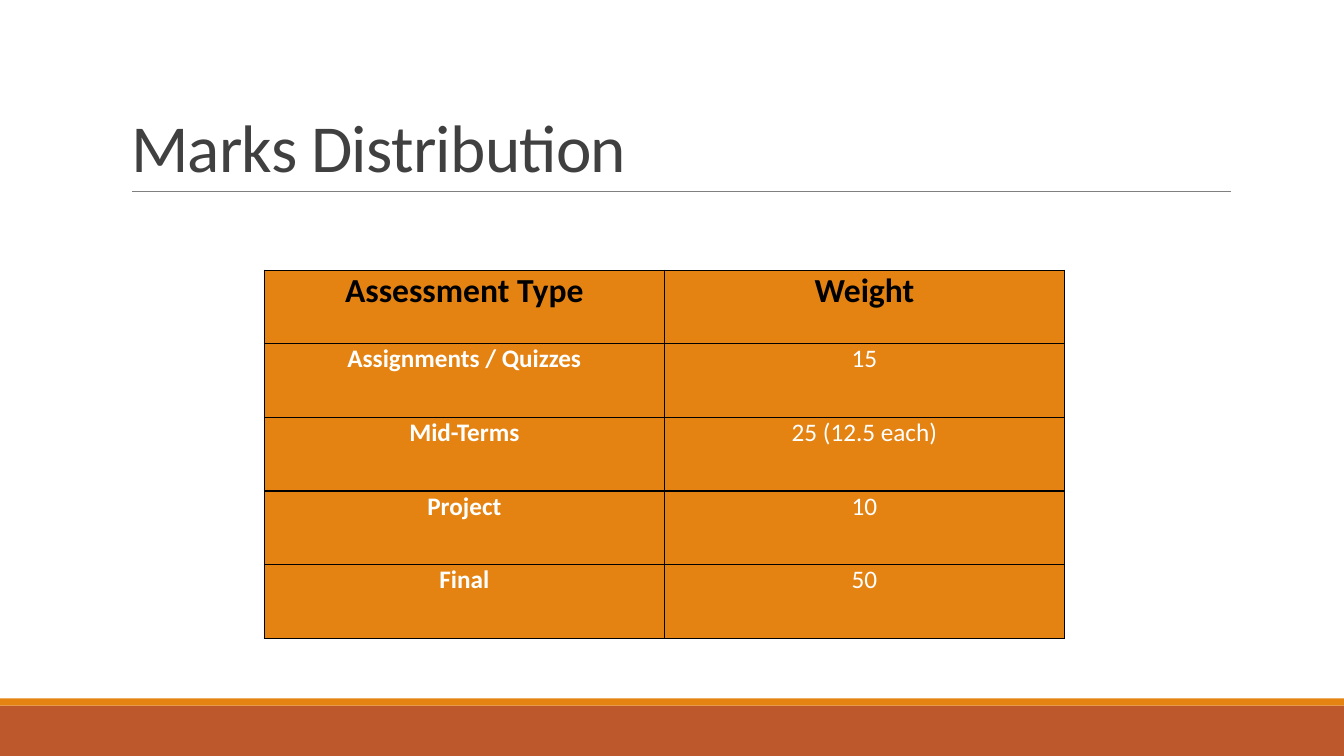
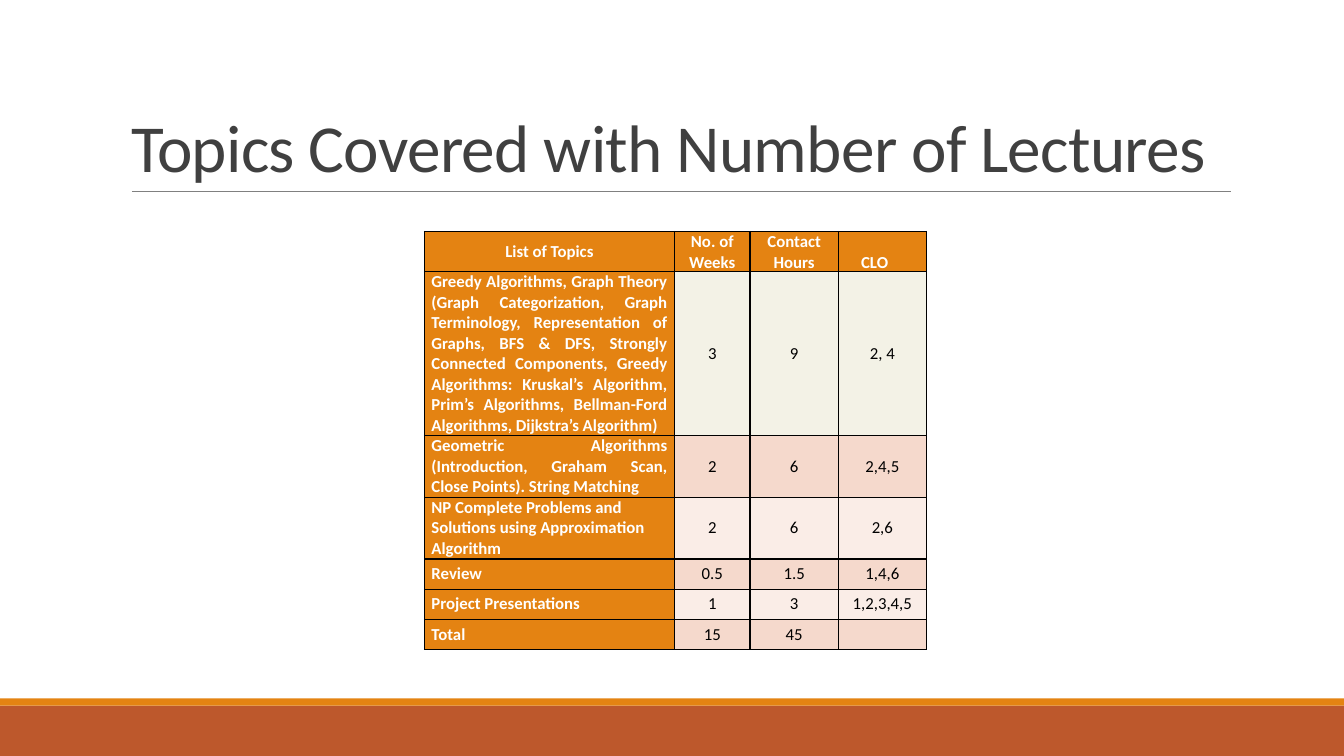
from lxml import etree
from pptx import Presentation
from pptx.dml.color import RGBColor
from pptx.enum.shapes import MSO_CONNECTOR, MSO_SHAPE
from pptx.enum.text import MSO_ANCHOR, MSO_AUTO_SIZE, PP_ALIGN
from pptx.oxml import parse_xml
from pptx.oxml.ns import nsdecls, qn
from pptx.util import Pt

FONT = "Calibri"
ORANGE, RUST, GRAY, DARK = "E48312", "BD582C", "808080", "404040"
WHITE, BLACK = "FFFFFF", "000000"
CREAM, PEACH, BLUSH = "F3F2E6", "F5D9CC", "FAEDE7"
SLIDE_WIDTH, SLIDE_HEIGHT = 960, 540

TITLE_FRAME = {"left": 86.4, "top": 22.5, "width": 792, "height": 114.3}
BANDS = [(504, 36, RUST), (498.8, 5.2, ORANGE)]
RULE_LEFT, RULE_RIGHT, RULE_TOP = 94.3, 879.1, 136.9


def color(hex_text):
    return RGBColor.from_string(hex_text)


def add_grid(page, left, top, widths, heights, rows):
    """Add a bordered table; each row is a list of (text, style) pairs."""
    frame = page.shapes.add_table(len(heights), len(widths), Pt(left), Pt(top),
                                  Pt(sum(widths)), Pt(sum(heights)))
    table = frame.table
    table.first_row = table.horz_banding = False
    for column, width in zip(table.columns, widths):
        column.width = Pt(width)
    for table_row, height, row in zip(table.rows, heights, rows):
        table_row.height = Pt(height)
        for cell, (text, style) in zip(table_row.cells, row):
            cell_format = {"margin_left": Pt(5), "margin_right": Pt(5),
                           "margin_top": 0, "margin_bottom": 0, **style["cell"]}
            for name, value in cell_format.items():
                setattr(cell, name, value)
            para = cell.text_frame.paragraphs[0]
            for name, value in style["para"].items():
                setattr(para, name, value)
            span = para.add_run()
            span.text = text
            for name, value in {"name": FONT, **style["font"]}.items():
                setattr(span.font, name, value)
            span.font.color.rgb = color(style["ink"])

            # Borders come before the fill in the cell properties
            properties = cell._tc.get_or_add_tcPr()
            for side in ("lnL", "lnR", "lnT", "lnB"):
                properties.append(parse_xml(
                    f'<a:{side} {nsdecls("a")} w="{Pt(1)}"><a:solidFill>'
                    f'<a:srgbClr val="{BLACK}"/></a:solidFill></a:{side}>'))
            cell.fill.solid()
            cell.fill.fore_color.rgb = color(style["fill"])


deck = Presentation()
deck.slide_width, deck.slide_height = Pt(SLIDE_WIDTH), Pt(SLIDE_HEIGHT)

# Title, rule and bottom bands on every slide
pages = []
for heading in ("Marks Distribution", "Topics Covered with Number of Lectures"):
    page = deck.slides.add_slide(deck.slide_layouts[5])
    pages.append(page)

    for top, height, fill in BANDS:
        band = page.shapes.add_shape(MSO_SHAPE.RECTANGLE, 0, Pt(top),
                                     Pt(SLIDE_WIDTH), Pt(height))
        band.shadow.inherit = False
        band.fill.solid()
        band.fill.fore_color.rgb = color(fill)
        band.line.fill.background()

    rule = page.shapes.add_connector(MSO_CONNECTOR.STRAIGHT, Pt(RULE_LEFT),
                                     Pt(RULE_TOP), Pt(RULE_RIGHT), Pt(RULE_TOP))
    rule.line.color.rgb = color(GRAY)
    rule.line.width = Pt(0.5)
    etree.SubElement(rule._element.spPr, qn("a:effectLst"))

    title = page.shapes.title
    for name, value in TITLE_FRAME.items():
        setattr(title, name, Pt(value))
    title.text_frame.word_wrap = True
    title.text_frame.auto_size = MSO_AUTO_SIZE.NONE
    title.text_frame.vertical_anchor = MSO_ANCHOR.BOTTOM
    para = title.text_frame.paragraphs[0]
    para.alignment = PP_ALIGN.LEFT
    para.line_spacing = 0.85
    span = para.add_run()
    span.text = heading
    for name, value in {"name": FONT, "size": Pt(48), "bold": False}.items():
        setattr(span.font, name, value)
    span.font.color.rgb = color(DARK)
    span._r.get_or_add_rPr().set("spc", "-50")

marks_page, topics_page = pages

# Marks: one heading row, then bold labels beside plain weights
spaced = {"alignment": PP_ALIGN.CENTER, "space_before": Pt(2), "space_after": Pt(2)}
marks_label = {"fill": ORANGE, "ink": WHITE, "cell": {}, "para": spaced,
               "font": {"size": Pt(18), "bold": True}}
marks_value = {**marks_label, "font": {"size": Pt(18), "bold": False}}
marks_head = {**marks_label, "ink": BLACK, "font": {"size": Pt(24), "bold": True}}
marks = [
    ("Assignments / Quizzes", "15"),
    ("Mid-Terms", "25 (12.5 each)"),
    ("Project", "10"),
    ("Final", "50"),
]
marks_rows = [[("Assessment Type", marks_head), ("Weight", marks_head)]]
for assessment, weight in marks:
    marks_rows.append([(assessment, marks_label), (weight, marks_value)])
add_grid(marks_page, 188.8, 193, [285.8] * 2, [52.6] * 5, marks_rows)

# Topics: a heading table directly above the table of topics
middle = {"vertical_anchor": MSO_ANCHOR.MIDDLE}
topic_head = {"fill": ORANGE, "ink": WHITE, "cell": middle,
              "para": {"alignment": PP_ALIGN.CENTER},
              "font": {"size": Pt(12), "bold": True}}
outcome_head = {**topic_head, "cell": {"vertical_anchor": MSO_ANCHOR.BOTTOM,
                                       "margin_right": Pt(16)}}
topic_value = {**topic_head, "ink": BLACK, "font": {"size": Pt(12), "bold": False}}
topic_columns = [178.6, 54, 63, 63]
topics_left, topics_top, head_height = 303.2, 165.4, 28.8

add_grid(topics_page, topics_left, topics_top, topic_columns, [head_height],
         [[("List of Topics", topic_head), ("No. of Weeks", topic_head),
           ("Contact Hours", topic_head), ("CLO", outcome_head)]])

topics = [
    ("Greedy Algorithms, Graph Theory (Graph Categorization, Graph Terminology, "
     "Representation of Graphs, BFS & DFS, Strongly Connected Components, Greedy "
     "Algorithms: Kruskal’s Algorithm, Prim’s Algorithms, Bellman-Ford Algorithms, "
     "Dijkstra’s Algorithm)", PP_ALIGN.JUSTIFY, CREAM, 116, ("3", "9", "2, 4")),
    ("Geometric Algorithms (Introduction, Graham Scan, Close Points). "
     "String Matching", PP_ALIGN.JUSTIFY, PEACH, 44, ("2", "6", "2,4,5")),
    ("NP Complete Problems and Solutions using Approximation Algorithm",
     PP_ALIGN.LEFT, BLUSH, 44, ("2", "6", "2,6")),
    ("Review", PP_ALIGN.JUSTIFY, PEACH, 21.6, ("0.5", "1.5", "1,4,6")),
    ("Project Presentations", PP_ALIGN.JUSTIFY, BLUSH, 21.6, ("1", "3", "1,2,3,4,5")),
    ("Total", PP_ALIGN.JUSTIFY, PEACH, 21.6, ("15", "45", "")),
]
topic_rows = []
for topic, alignment, fill, height, values in topics:
    topic_label = {**topic_head, "para": {"alignment": alignment}}
    shaded_value = {**topic_value, "fill": fill}
    topic_rows.append([(topic, topic_label)]
                      + [(value, shaded_value) for value in values])
add_grid(topics_page, topics_left, topics_top + head_height, topic_columns,
         [height for _, _, _, height, _ in topics], topic_rows)

deck.save("out.pptx")
